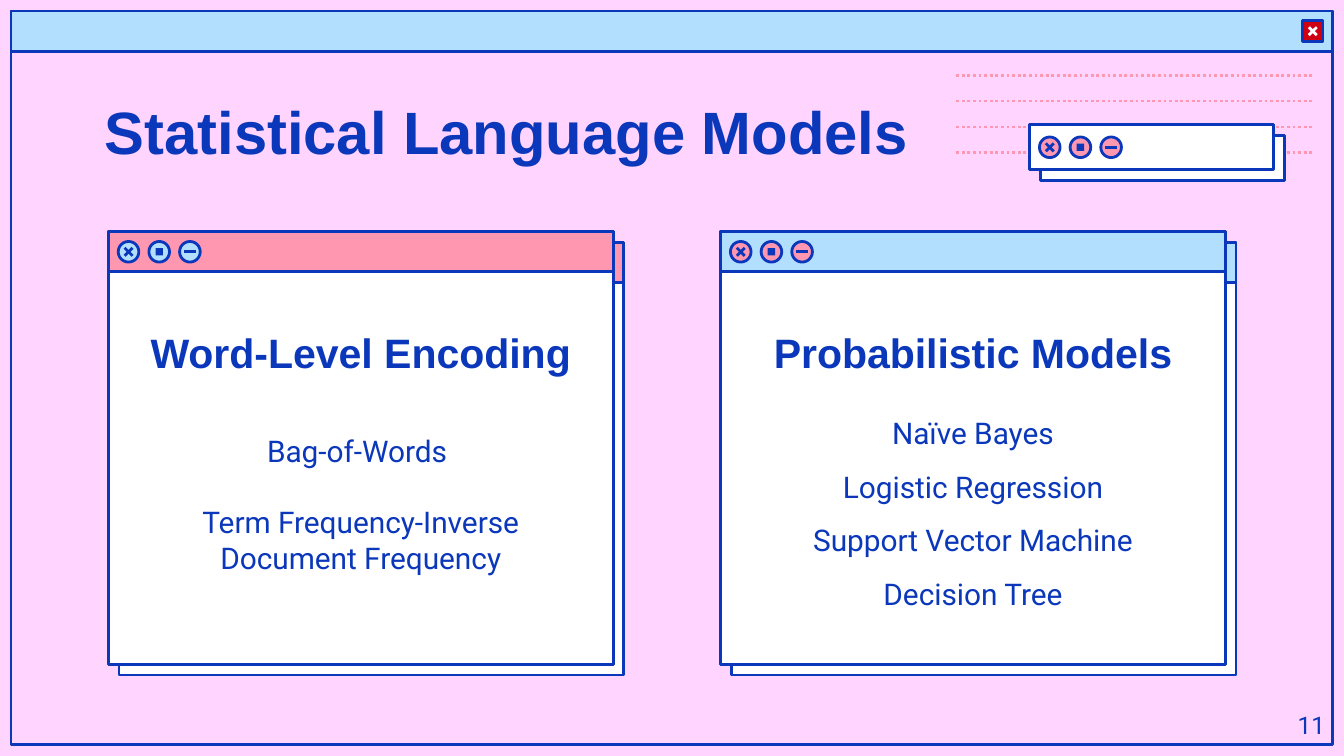
from lxml import etree
from pptx import Presentation
from pptx.dml.color import RGBColor
from pptx.enum.dml import MSO_LINE
from pptx.enum.shapes import MSO_CONNECTOR, MSO_SHAPE
from pptx.enum.text import MSO_ANCHOR, MSO_AUTO_SIZE, PP_ALIGN
from pptx.oxml.ns import qn
from pptx.util import Cm, Pt

RECT, OVAL = MSO_SHAPE.RECTANGLE, MSO_SHAPE.OVAL
STRAIGHT = MSO_CONNECTOR.STRAIGHT
DOTTED = MSO_LINE.ROUND_DOT
TOP, MIDDLE = MSO_ANCHOR.TOP, MSO_ANCHOR.MIDDLE
LEFT, CENTER, RIGHT = PP_ALIGN.LEFT, PP_ALIGN.CENTER, PP_ALIGN.RIGHT
NO_FIT = MSO_AUTO_SIZE.NONE

COLORS = {
    "page": "FFD4FF",
    "ink": "0B37BA",
    "sky": "B3DFFF",
    "rose": "FF97B1",
    "red": "CF0011",
    "white": "FFFFFF",
}
STROKE = Pt(1.5)
BUTTON = 0.39
BUTTON_PITCH = 0.58
SHADOW_OFFSET = 0.2
BAR_HEIGHT = 0.76


def rgb(name):
    return RGBColor.from_string(COLORS[name])


def add_block(page, kind, box, fill=None, outlined=True):
    block = page.shapes.add_shape(kind, *[Cm(length) for length in box])
    block.shadow.inherit = False
    if fill:
        block.fill.solid()
        block.fill.fore_color.rgb = rgb(fill)
    else:
        block.fill.background()
    if outlined:
        block.line.color.rgb = rgb("ink")
        block.line.width = STROKE
    else:
        block.line.fill.background()


def add_line(page, start, end, color="ink", dash=None):
    line = page.shapes.add_connector(STRAIGHT, *[Cm(n) for n in (*start, *end)])
    line.line.color.rgb = rgb(color)
    line.line.width = STROKE
    if dash:
        line.line.dash_style = dash
    properties = line._element.find(qn("p:spPr"))
    etree.SubElement(properties, qn("a:effectLst"))


def add_cross(page, x, y, color="ink"):
    """Draw a small cross centred on the given point."""
    arm = 0.075
    add_line(page, (x - arm, y - arm), (x + arm, y + arm), color)
    add_line(page, (x - arm, y + arm), (x + arm, y - arm), color)


def format_text(box, lines, size, font="Roboto", bold=False, align=CENTER,
                anchor=MIDDLE, line_spacing=None, gap=0):
    """Fill a text holder; gap is the space in points between paragraphs."""
    frame = box.text_frame
    frame.word_wrap = True
    frame.auto_size = NO_FIT
    frame.vertical_anchor = anchor
    frame.margin_left = frame.margin_right = Cm(0.25)
    frame.margin_top = frame.margin_bottom = Cm(0.25)
    for index, line in enumerate(lines):
        para = frame.add_paragraph() if index else frame.paragraphs[0]
        para.alignment = align
        para.space_before = Pt(gap if index else 0)
        if line_spacing:
            para.line_spacing = line_spacing
        span = para.add_run()
        span.text = line
        span.font.name = font
        span.font.size = Pt(size)
        span.font.bold = bold
        span.font.color.rgb = rgb("ink")


def add_text(page, box, lines, size, **style):
    holder = page.shapes.add_textbox(*[Cm(length) for length in box])
    format_text(holder, lines, size, **style)


def add_backdrop(page, box):
    """Draw the page-wide window frame and its dotted pattern."""
    left, top, width, height = box
    add_block(page, RECT, box)
    add_block(page, RECT, (left, top, width, BAR_HEIGHT), "sky")
    center_x, center_y = left + width - 0.37, top + BAR_HEIGHT / 2
    add_block(page, RECT, (center_x - BUTTON / 2, center_y - BUTTON / 2,
                           BUTTON, BUTTON), "red")
    add_cross(page, center_x, center_y, "white")
    for row in range(4):
        y = top + 1.21 + row * 0.49
        add_line(page, (left + 17.86, y), (left + 24.59, y), "rose", DOTTED)


def add_buttons(page, box, fill):
    """Place close, restore and minimise buttons at the left of a bar."""
    left, top, _, height = box
    y = top + height / 2
    centers = [left + 0.38 + BUTTON_PITCH * step for step in range(3)]
    for x in centers:
        add_block(page, OVAL, (x - BUTTON / 2, y - BUTTON / 2, BUTTON, BUTTON), fill)
    close, restore, minimise = centers
    add_cross(page, close, y)
    add_block(page, RECT, (restore - 0.07, y - 0.07, 0.14, 0.14), "ink", outlined=False)
    add_line(page, (minimise - 0.11, y), (minimise + 0.11, y))


def add_card(page, box, bar, button, heading, lines, body_size, **body_style):
    """Draw a window with an offset twin behind, a heading and centred text."""
    left, top, width, height = box
    for offset in (SHADOW_OFFSET, 0):
        x, y = left + offset, top + offset
        add_block(page, RECT, (x, y, width, height), "white")
        add_block(page, RECT, (x, y, width, BAR_HEIGHT), bar)
    add_buttons(page, (left, top, width, BAR_HEIGHT), button)
    add_text(page, (left + 0.36, top + 1.75, width - 0.72, 1.04), [heading], 22,
             font="Arial", bold=True)
    body_width, body_height = body_size
    add_text(page, (left + (width - body_width) / 2, top + 5.15 - body_height / 2,
                    body_width, body_height), lines, 16, **body_style)


def add_mini_window(page, box):
    left, top, width, height = box
    for offset in (SHADOW_OFFSET, 0):
        add_block(page, RECT, (left + offset, top + offset, width, height), "white")
    add_buttons(page, box, "rose")


def add_title(page, box, text):
    title = page.shapes.title
    title.left, title.top, title.width, title.height = [Cm(n) for n in box]
    format_text(title, [text], 32, font="Arial", bold=True, align=LEFT, anchor=TOP)


def main():
    deck = Presentation()
    deck.slide_width, deck.slide_height = Cm(25.4), Cm(14.29)
    page = deck.slides.add_slide(deck.slide_layouts[5])
    page.background.fill.solid()
    page.background.fill.fore_color.rgb = rgb("page")

    add_backdrop(page, (0.21, 0.21, 24.97, 13.87))
    add_title(page, (1.73, 1.55, 17.75, 1.65), "Statistical Language Models")
    add_mini_window(page, (19.46, 2.36, 4.61, 0.85))
    add_card(page, (2.05, 4.38, 9.54, 8.18), "rose", "sky", "Word-Level Encoding",
             ["Bag-of-Words ", "Term Frequency-Inverse Document Frequency"],
             (7.9, 4.75), gap=19)
    add_card(page, (13.62, 4.38, 9.54, 8.18), "sky", "rose", "Probabilistic Models",
             ["Naïve Bayes", "Logistic Regression",
              "Support Vector Machine Decision Tree"],
             (7.52, 4.47), line_spacing=1.5)
    add_text(page, (23.77, 13.18, 1.52, 1.09), ["11"], 13, align=RIGHT, anchor=TOP)
    deck.save("out.pptx")


if __name__ == "__main__":
    main()
